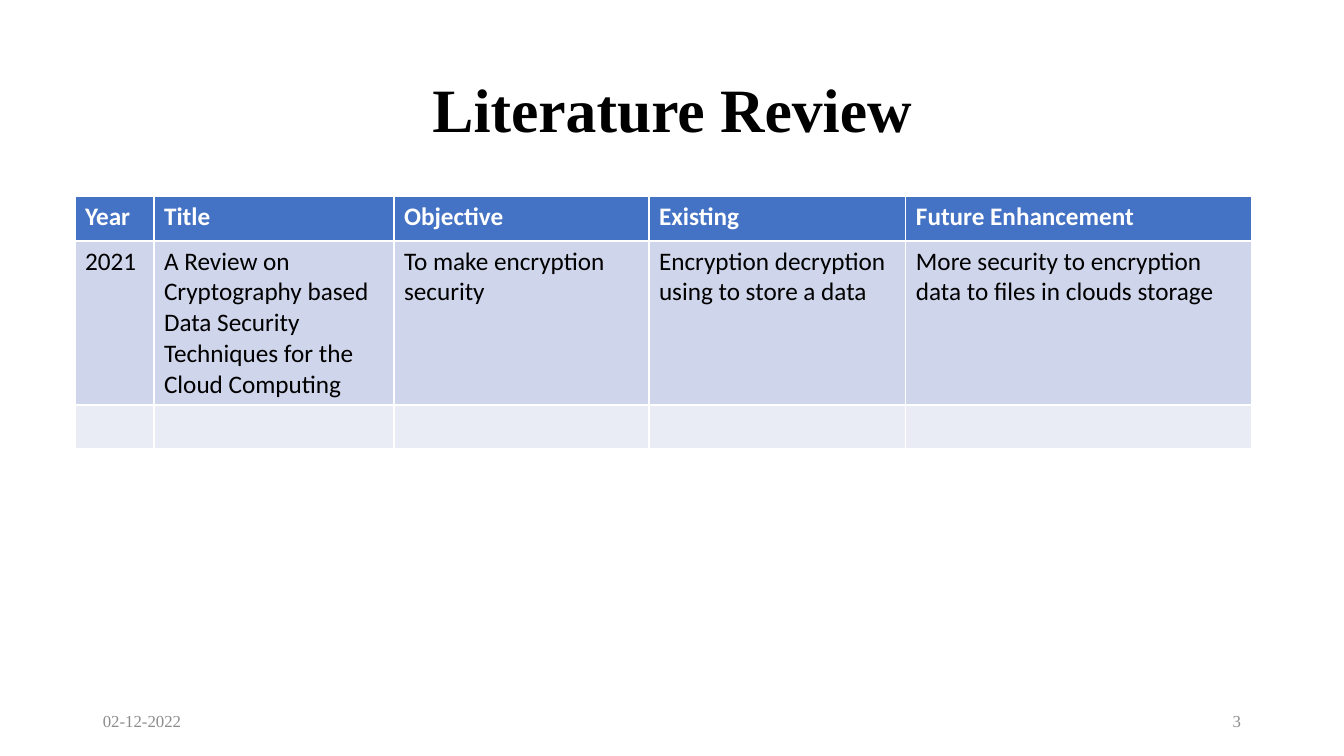
from typing import Any, NamedTuple

from pptx import Presentation
from pptx.dml.color import RGBColor
from pptx.enum.text import MSO_ANCHOR, PP_ALIGN
from pptx.util import Emu, Pt

LEFT, MID, RIGHT = PP_ALIGN.LEFT, PP_ALIGN.CENTER, PP_ALIGN.RIGHT
CENTER = MSO_ANCHOR.MIDDLE
SCALE = 914400 / 100.8
SERIF, SANS = "Times New Roman", "Calibri"
COLORS = {
    "black": "000000",
    "white": "FFFFFF",
    "gray": "8C8C8C",
    "head": "4472C4",
    "band": "CFD5EA",
    "pale": "E9EBF5",
}


class Box(NamedTuple):
    left: int
    top: int
    width: int
    height: int


class Style(NamedTuple):
    face: str
    size: int
    color: str
    bold: bool = False
    align: Any = LEFT


class Label(NamedTuple):
    text: str
    box: Box
    style: Style


class Row(NamedTuple):
    height: int
    fill: str
    style: Style
    texts: list[str]


TITLE = Label("Literature Review", Box(93, 40, 1159, 146),
              Style(SERIF, 44, "black", True, MID))
FOOTER = [
    Label("02-12-2022", Box(93, 701, 302, 40), Style(SERIF, 12, "gray")),
    Label("3", Box(949, 701, 302, 40), Style(SERIF, 12, "gray", align=RIGHT)),
]
PLAIN = Style(SANS, 18, "black")
WIDTHS = [79, 240, 255, 257, 346]
ROWS = [
    Row(45, "head", Style(SANS, 18, "white", True),
        ["Year", "Title", "Objective", "Existing", "Future Enhancement"]),
    Row(164, "band", PLAIN, [
        "2021",
        "A Review on Cryptography based Data Security Techniques for the Cloud Computing",
        "To make encryption security",
        "Encryption decryption using to store a data",
        "More security to encryption data to files in clouds storage",
    ]),
    Row(44, "pale", PLAIN, [""] * len(WIDTHS)),
]


def px(value: int) -> Emu:
    return Emu(round(value * SCALE))


def place(box: Box) -> list[Emu]:
    return [px(side) for side in box]


def color(name: str) -> RGBColor:
    return RGBColor.from_string(COLORS[name])


def write(frame: Any, text: str, style: Style) -> None:
    frame.text = text
    para = frame.paragraphs[0]
    para.alignment = style.align
    para.font.name = style.face
    para.font.size = Pt(style.size)
    para.font.bold = style.bold
    para.font.color.rgb = color(style.color)


def fill_label(shape: Any, label: Label) -> None:
    frame = shape.text_frame
    frame.word_wrap = True
    frame.vertical_anchor = CENTER
    write(frame, label.text, label.style)


def draw_title(slide: Any, label: Label) -> None:
    title = slide.shapes.title
    title.left, title.top, title.width, title.height = place(label.box)
    fill_label(title, label)
    title.text_frame.paragraphs[0].line_spacing = 0.9


def draw_table(slide: Any, left: int, top: int) -> None:
    box = Box(left, top, sum(WIDTHS), sum(row.height for row in ROWS))
    table = slide.shapes.add_table(len(ROWS), len(WIDTHS), *place(box)).table
    for column, width in zip(table.columns, WIDTHS):
        column.width = px(width)
    for line, row in zip(table.rows, ROWS):
        line.height = px(row.height)
        for cell, text in zip(line.cells, row.texts):
            cell.fill.solid()
            cell.fill.fore_color.rgb = color(row.fill)
            write(cell.text_frame, text, row.style)


def main() -> None:
    deck = Presentation()
    deck.slide_width, deck.slide_height = px(1344), px(756)
    slide = deck.slides.add_slide(deck.slide_layouts[5])
    draw_title(slide, TITLE)
    draw_table(slide, 75, 196)
    for label in FOOTER:
        fill_label(slide.shapes.add_textbox(*place(label.box)), label)
    deck.save("out.pptx")


main()
